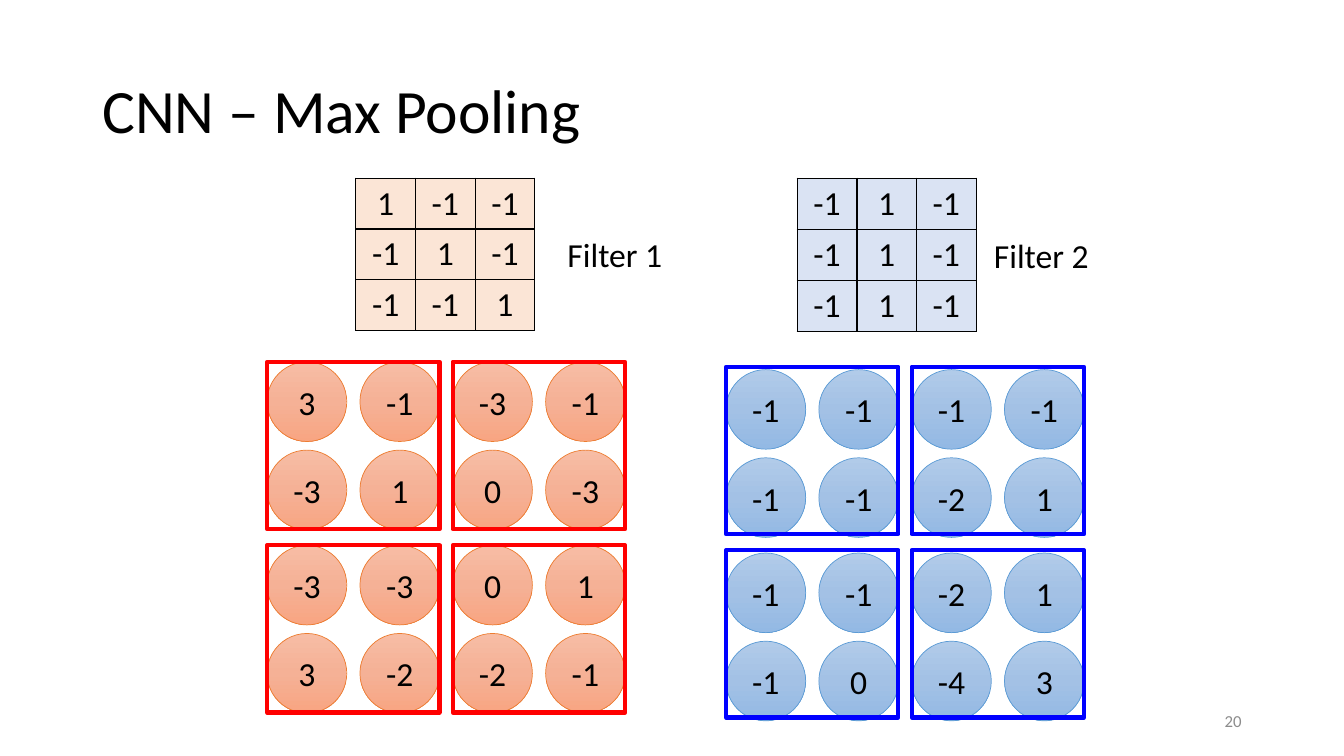
"""Build the max pooling slide: two filters, their feature maps and the pooling windows."""
from copy import deepcopy

from lxml import etree
from pptx import Presentation
from pptx.dml import color
from pptx.enum import shapes, text
from pptx.oxml import ns
from pptx import util as u

Pt = u.Pt
TITLE = "CNN – Max Pooling"
PAGE_NUMBER = "20"
FILTERS = [
    dict(label="Filter 1", label_at=(382.3, 163.4), table_left=254.2, row_height=36.2,
         kernel=[[1, -1, -1], [-1, 1, -1], [-1, -1, 1]], cell_fill="FBE5D6",
         feature_map=[[3, -1, -3, -1], [-3, 1, 0, -3], [-3, -3, 0, 1], [3, -2, -2, -1]],
         map_at=(190.8, 258.5), windows_top=258.5, window_line="FF0000",
         gradient=["F7BDA5", "F5B196", "F8A582"], circle_line="ED7D31"),
    dict(label="Filter 2", label_at=(686.9, 164.2), table_left=569.5, row_height=36.5,
         kernel=[[-1, 1, -1], [-1, 1, -1], [-1, 1, -1]], cell_fill="DAE3F3",
         feature_map=[[-1, -1, -1, -1], [-1, -1, -2, 1], [-1, -1, -2, 1], [-1, 0, -4, 3]],
         map_at=(518.6, 264), windows_top=262, window_line="0000FF",
         gradient=["B1CBE9", "A3C1E5", "93B9E4"], circle_line="5B9BD5"),
]
TABLE_TOP, COLUMN_WIDTH = 127.4, 42.6
CIRCLE = 56.9
COLUMN_STEP, ROW_STEP, BLOCK_STEP = 66.3, 63, 131
WINDOW_WIDTH, WINDOW_HEIGHT = 123.1, 119.5


def rgb(value):
    """Return a colour from its hex string."""
    return color.RGBColor.from_string(value)


def write(frame, content, size=24, fill="000000", align=text.PP_ALIGN.CENTER, spacing=1.0):
    """Put one formatted paragraph in a text frame."""
    paragraph = frame.paragraphs[0]
    paragraph.text = str(content)
    paragraph.alignment = align
    paragraph.line_spacing = spacing
    paragraph.font.size = Pt(size)
    paragraph.font.name = "Calibri"
    paragraph.font.color.rgb = rgb(fill)


def add_label(slide, content, left, top, width, height, anchor=text.MSO_ANCHOR.TOP, **style):
    """Add a wrapping text box."""
    frame = slide.shapes.add_textbox(Pt(left), Pt(top), Pt(width), Pt(height)).text_frame
    frame.word_wrap = True
    frame.vertical_anchor = anchor
    write(frame, content, **style)


def add_outlined(slide, kind, left, top, width, height, line, weight):
    """Add a preset shape with a coloured outline and no shadow."""
    shape = slide.shapes.add_shape(kind, Pt(left), Pt(top), Pt(width), Pt(height))
    shape.shadow.inherit = False
    shape.line.color.rgb = rgb(line)
    shape.line.width = Pt(weight)
    return shape


def fill_gradient(shape, colours):
    """Fill a shape from top to bottom with three evenly spaced colours."""
    shape.fill.gradient()
    shape.fill.gradient_angle = 270
    stop_list = shape.fill._fill._gradFill.find(ns.qn("a:gsLst"))
    stop_list.insert(1, deepcopy(stop_list[0]))
    for index, (stop, colour) in enumerate(zip(shape.fill.gradient_stops, colours)):
        stop.color.rgb = rgb(colour)
        stop.position = index / 2


def add_borders(cell):
    """Draw a thin black line on every side of a cell."""
    properties = cell._tc.get_or_add_tcPr()
    for index, side in enumerate(("lnL", "lnR", "lnT", "lnB")):
        line = etree.Element(ns.qn(f"a:{side}"), w=str(Pt(1)))
        solid = etree.SubElement(line, ns.qn("a:solidFill"))
        etree.SubElement(solid, ns.qn("a:srgbClr"), val="000000")
        properties.insert(index, line)


def add_kernel(slide, item):
    """Add the filter weights as a table."""
    kernel = item["kernel"]
    size = len(kernel)
    table = slide.shapes.add_table(
        size, size, Pt(item["table_left"]), Pt(TABLE_TOP),
        Pt(size * COLUMN_WIDTH), Pt(size * item["row_height"])).table
    table.first_row = table.horz_banding = False
    for row, values in enumerate(kernel):
        for column, value in enumerate(values):
            cell = table.cell(row, column)
            cell.fill.solid()
            cell.fill.fore_color.rgb = rgb(item["cell_fill"])
            write(cell.text_frame, value)
            add_borders(cell)


def add_feature_map(slide, item):
    """Add the grid of circles holding the filter output."""
    left, top = item["map_at"]
    for row, values in enumerate(item["feature_map"]):
        block, inner = divmod(row, 2)
        for column, value in enumerate(values):
            circle = add_outlined(
                slide, shapes.MSO_SHAPE.OVAL, left + column * COLUMN_STEP,
                top + block * BLOCK_STEP + inner * ROW_STEP,
                CIRCLE, CIRCLE, item["circle_line"], 0.5)
            fill_gradient(circle, item["gradient"])
            write(circle.text_frame, value)


def add_windows(slide, item):
    """Outline the four pooling windows."""
    for row in range(2):
        for column in range(2):
            window = add_outlined(
                slide, shapes.MSO_SHAPE.RECTANGLE,
                item["map_at"][0] + column * 2 * COLUMN_STEP,
                item["windows_top"] + row * BLOCK_STEP,
                WINDOW_WIDTH, WINDOW_HEIGHT, item["window_line"], 3)
            window.fill.background()


def main():
    """Assemble and save the slide."""
    presentation = Presentation()
    presentation.slide_width, presentation.slide_height = Pt(960), Pt(540)
    slide = presentation.slides.add_slide(presentation.slide_layouts[6])
    add_label(slide, TITLE, 66, 28.75, 828, 104.4, anchor=text.MSO_ANCHOR.MIDDLE,
              size=44, align=text.PP_ALIGN.LEFT, spacing=0.9)
    for item in FILTERS:
        add_feature_map(slide, item)
        add_kernel(slide, item)
        add_label(slide, item["label"], *item["label_at"], 113.8, 36)
        add_windows(slide, item)
    add_label(slide, PAGE_NUMBER, 678, 500.5, 216, 28.75, anchor=text.MSO_ANCHOR.MIDDLE,
              size=12, fill="8C8C8C", align=text.PP_ALIGN.RIGHT)
    presentation.save("out.pptx")


if __name__ == "__main__":
    main()
